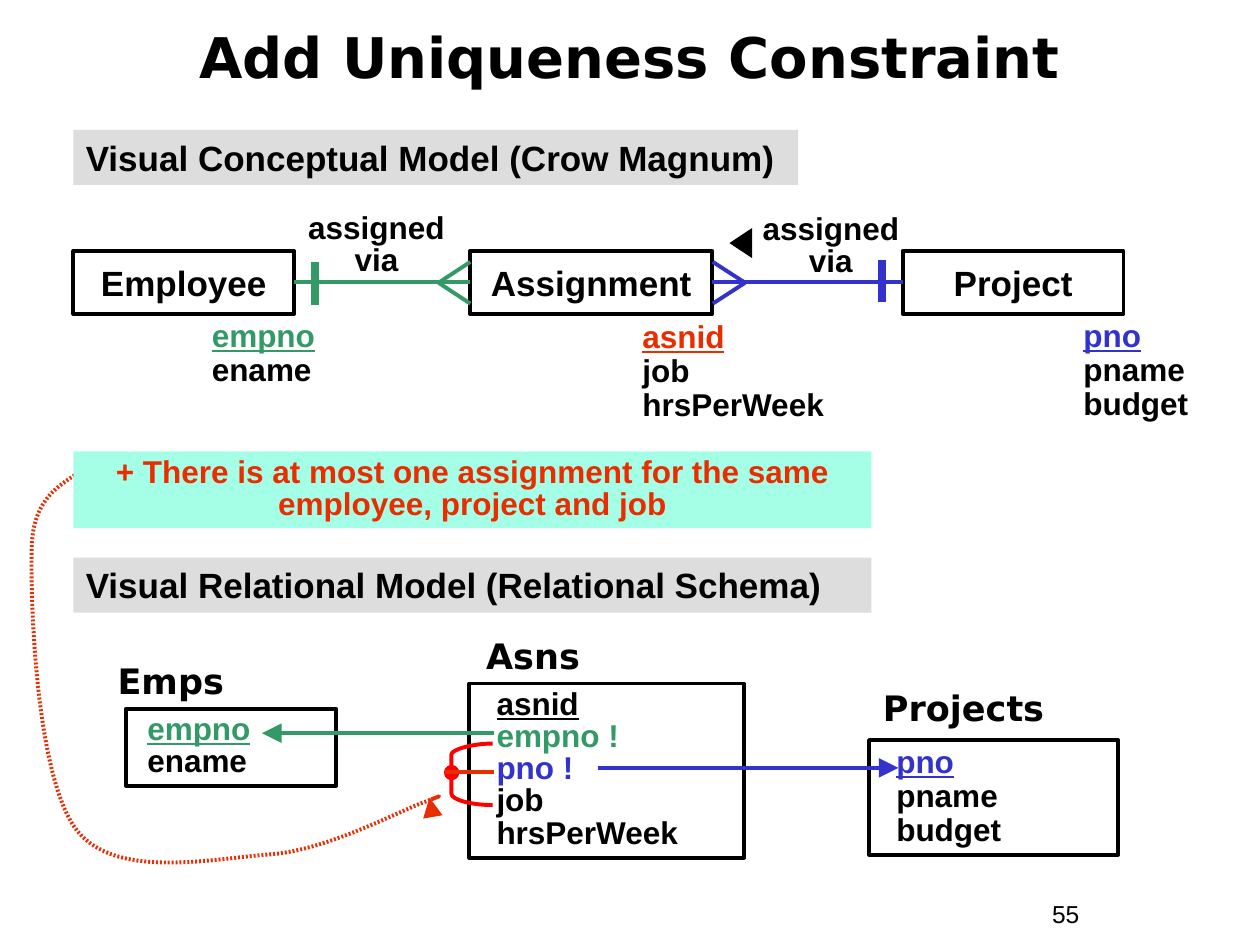
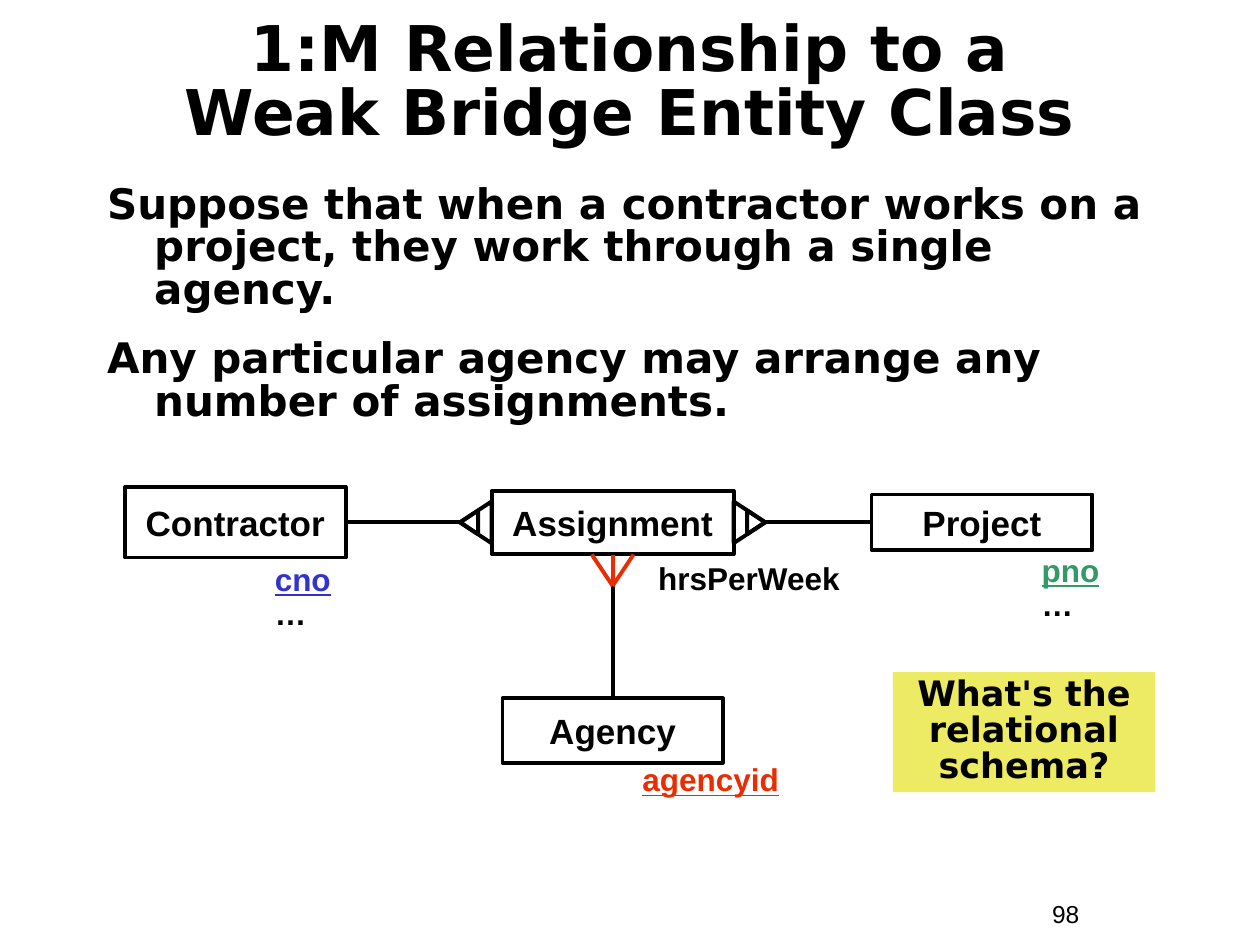
from lxml import etree
from pptx import Presentation
from pptx import util as u
from pptx.dml.color import RGBColor
from pptx.enum import shapes, text
from pptx.oxml import ns

BLACK = RGBColor(0x00, 0x00, 0x00)
GREEN = RGBColor(0x33, 0x99, 0x66)
BLUE = RGBColor(0x33, 0x33, 0xCC)
ORANGE = RGBColor(0xEA, 0x2D, 0x00)
RED = RGBColor(0xFF, 0x00, 0x00)
GREY = RGBColor(0xDD, 0xDD, 0xDD)
MINT = RGBColor(0xA5, 0xFF, 0xE7)
YELLOW = RGBColor(0xED, 0xEA, 0x63)
SANS = "Arial"
DISPLAY = "DejaVu Sans"
LEFT, CENTER = text.PP_ALIGN.LEFT, text.PP_ALIGN.CENTER
TOP, MIDDLE = text.MSO_ANCHOR.TOP, text.MSO_ANCHOR.MIDDLE
SHAPE = shapes.MSO_SHAPE
BODY, HEADING = 18, 20
STROKE, BAR = 2.25, 4.5


def cm(*values):
    return [u.Cm(v) for v in values]


def key(name, color=BLACK):
    return name, color, True


def column(name, color=BLACK):
    return name, color, False


def write(sp, rows, size, font=SANS, align=LEFT, anchor=TOP, spacing=1.0,
          bold=True, indent=0, hanging=0, gap=0):
    tf = sp.text_frame
    tf.word_wrap = True
    tf.vertical_anchor = anchor
    for i, (words, color, underlined) in enumerate(rows):
        p = tf.paragraphs[0] if i == 0 else tf.add_paragraph()
        p.text = words
        pPr = p._p.get_or_add_pPr()
        pPr.set("marL", str(u.Cm(indent)))
        pPr.set("indent", str(-u.Cm(hanging)))
        p.alignment = align
        p.line_spacing = spacing
        p.space_before = u.Pt(gap if i else 0)
        p.font.name = font
        p.font.size = u.Pt(size)
        p.font.bold = bold
        p.font.underline = underlined
        p.font.color.rgb = color


def label(s, box, rows, size=BODY, **style):
    sp = s.shapes.add_textbox(*cm(*box))
    write(sp, rows, size, **style)


def shape(s, kind, box, fill=None, line=None, rotation=0):
    sp = s.shapes.add_shape(kind, *cm(*box))
    sp.shadow.inherit = False
    sp.rotation = rotation
    paint(sp, fill, line)
    return sp


def paint(sp, fill, line):
    if fill is None:
        sp.fill.background()
    else:
        sp.fill.solid()
        sp.fill.fore_color.rgb = fill
    if line is None:
        sp.line.fill.background()
    else:
        sp.line.color.rgb = line
        sp.line.width = u.Pt(STROKE)


def title(s, box, words, size):
    label(s, box, [column(words)], size, font=DISPLAY, align=CENTER,
          anchor=MIDDLE, spacing=0.85)


def page_number(s, number):
    label(s, (20.96, 17.99, 2.33, 0.86), [column(number)], 14, bold=False)


def entity(s, box, name):
    sp = shape(s, SHAPE.RECTANGLE, box, line=BLACK)
    write(sp, [column(name)], HEADING, align=CENTER, anchor=MIDDLE)
    return sp


def attributes(s, box, *rows):
    label(s, box, rows, spacing=0.9)


def table_box(s, name, name_box, box, rows, spacing, indent):
    label(s, name_box, [column(name)], HEADING, font=DISPLAY)
    sp = shape(s, SHAPE.RECTANGLE, box, line=BLACK)
    write(sp, rows, BODY, spacing=spacing, indent=indent)


def panel(s, box, words, fill, size=HEADING, color=BLACK, **style):
    sp = shape(s, SHAPE.RECTANGLE, box, fill=fill)
    write(sp, [column(words, color)], size, **style)


def add_dots(sp):
    dash = etree.SubElement(sp.line._get_or_add_ln(), ns.qn("a:custDash"))
    etree.SubElement(dash, ns.qn("a:ds"), d="50000", sp="50000")


def add_arrowhead(sp):
    etree.SubElement(sp.line._get_or_add_ln(), ns.qn("a:tailEnd"),
                     type="triangle", w="lg", len="lg")


def line(s, start, end, color=BLACK, width=STROKE, arrow=False):
    c = s.shapes.add_connector(shapes.MSO_CONNECTOR.STRAIGHT, *cm(*start, *end))
    c.line.color.rgb = color
    c.line.width = u.Pt(width)
    if arrow:
        add_arrowhead(c)
    etree.SubElement(c._element.spPr, ns.qn("a:effectLst"))
    return c


def relationship(s, start, start_side, end, end_side, color=BLACK):
    c = line(s, (0, 0), (1, 1), color)
    c.begin_connect(start, start_side)
    c.end_connect(end, end_side)


def crow_foot(s, apex, toes, color):
    for toe in toes:
        line(s, apex, toe, color)


def weak_foot(s, x, y, direction):
    for cx, w, h in ((x, 0.84, 0.64), (x + direction * 0.13, 0.48, 0.36)):
        shape(s, SHAPE.ISOSCELES_TRIANGLE, (cx - w / 2, y - h / 2, w, h),
              line=BLACK, rotation=90 * direction % 360)


def curve(s, start, segments, color):
    builder = s.shapes.build_freeform(*cm(*start))
    builder.add_line_segments([cm(*pt) for seg in segments for pt in seg], close=False)
    sp = builder.convert_to_shape()
    sp.shadow.inherit = False
    paint(sp, None, color)
    steps = list(sp._element.iter(ns.qn("a:lnTo")))
    for segment in segments:
        group, steps = steps[:len(segment)], steps[len(segment):]
        if len(group) == 3:
            bezier = etree.Element(ns.qn("a:cubicBezTo"))
            group[0].addprevious(bezier)
            for step in group:
                bezier.append(step[0])
                step.getparent().remove(step)
    return sp


def conceptual_model(s):
    panel(s, (1.48, 2.62, 14.61, 1.11), "Visual Conceptual Model (Crow Magnum)", GREY)
    employee = entity(s, (1.48, 5.06, 4.45, 1.27), "Employee")
    assignment = entity(s, (9.48, 5.06, 4.88, 1.27), "Assignment")
    project = entity(s, (18.2, 5.06, 4.45, 1.27), "Project")
    relationship(s, employee, 3, assignment, 1, GREEN)
    relationship(s, project, 1, assignment, 3, BLUE)
    for apex, edge, color in ((8.84, 9.48, GREEN), (15.02, 14.37, BLUE)):
        crow_foot(s, (apex, 5.7), [(edge, 5.28), (edge, 6.12)], color)
    for x, y, color in ((6.35, 5.29, GREEN), (17.78, 5.24, BLUE)):
        line(s, (x, y), (x, y + 0.85), color, BAR)
    for x, y in ((5.9, 4.19), (15.06, 4.21)):
        label(s, (x, y, 3.38, 1.55), [column("assigned via")], align=CENTER, spacing=0.85)
    shape(s, SHAPE.ISOSCELES_TRIANGLE, (14.63, 4.67, 0.61, 0.46), fill=BLACK, rotation=270)
    attributes(s, (4.02, 6.33, 3.81, 1.63), key("empno", GREEN), column("ename"))
    attributes(s, (12.7, 6.35, 4.45, 2.31), key("asnid", ORANGE), column("job"),
               column("hrsPerWeek"))
    attributes(s, (21.59, 6.33, 2.96, 2.31), key("pno", BLUE), column("pname"),
               column("budget"))


def relational_model(s):
    panel(s, (1.48, 11.24, 16.09, 1.11), "Visual Relational Model (Relational Schema)", GREY)
    table_box(s, "Asns", (9.55, 12.66, 3.66, 1.11), (9.46, 13.78, 5.54, 3.51),
              [key("asnid"), column("empno !", GREEN), column("pno !", BLUE),
               column("job"), column("hrsPerWeek")], 0.85, 0.3)
    table_box(s, "Projects", (17.55, 13.72, 5.46, 1.11), (17.52, 14.92, 5.02, 2.31),
              [key("pno", BLUE), column("pname"), column("budget")], 0.9, 0.3)
    table_box(s, "Emps", (2.12, 13.17, 5.46, 1.11), (2.54, 14.29, 4.24, 1.55),
              [key("empno\v", GREEN), column("ename")][:0] or
              [key("empno", GREEN), column("ename")], 0.85, 0.18)
    line(s, (9.95, 14.78), (5.28, 14.78), GREEN, arrow=True)
    line(s, (12.06, 15.48), (18.11, 15.48), BLUE, arrow=True)


def uniqueness_constraint(s):
    pointer = curve(s, (1.68, 9.42), [
        ((1.5, 9.7), (0.66, 9.83), (0.64, 11.05)),
        ((0.61, 12.24), (0.74, 15.7), (1.55, 16.74)),
        ((2.34, 17.75), (4.32, 17.3), (5.49, 17.22)),
        ((6.65, 17.12), (8.08, 16.33), (8.61, 16.15)),
        ((9.12, 15.95), (8.64, 16.1), (8.66, 16.08))], ORANGE)
    add_dots(pointer)
    add_arrowhead(pointer)
    panel(s, (1.48, 9.1, 16.09, 1.55),
          "+ There is at most one assignment for the same employee, project and job",
          MINT, BODY, ORANGE, align=CENTER, spacing=0.85)
    curve(s, (9.93, 14.99), [
        ((9.53, 14.99), (9.1, 15.11), (9.1, 15.21)),
        ((9.1, 16),),
        ((9.1, 16.13), (9.53, 16.23), (9.93, 16.23))], RED)
    shape(s, SHAPE.OVAL, (8.99, 15.46, 0.23, 0.23), fill=RED, line=RED)
    line(s, (8.97, 15.57), (9.95, 15.57), ORANGE)


def uniqueness_slide(s):
    page_number(s, "55")
    title(s, (0.85, 0.28, 23.7, 1.91), "Add Uniqueness Constraint", 32)
    conceptual_model(s)
    relational_model(s)
    uniqueness_constraint(s)


def weak_bridge_slide(s):
    page_number(s, "98")
    title(s, (0.42, 0.85, 24.55, 1.7), "1:M Relationship to a\nWeak Bridge Entity Class", 36)
    label(s, (1.91, 3.6, 21.59, 4.24), [
        column("Suppose that when a contractor works on a project, "
               "they work through a single agency."),
        column("Any particular agency may arrange any number of assignments.")],
        24, font=DISPLAY, spacing=0.85, indent=0.95, hanging=0.95, gap=15)
    contractor = entity(s, (2.52, 9.82, 4.45, 1.42), "Contractor")
    project = entity(s, (17.57, 9.97, 4.45, 1.12), "Project")
    assignment = entity(s, (9.91, 9.9, 4.88, 1.27), "Assignment")
    agency = entity(s, (10.13, 14.08, 4.44, 1.3), "Agency")
    line(s, (6.97, 10.53), (9.27, 10.53)).begin_connect(contractor, 3)
    line(s, (17.57, 10.53), (15.42, 10.53)).begin_connect(project, 1)
    relationship(s, agency, 0, assignment, 2)
    weak_foot(s, 9.59, 10.53, -1)
    weak_foot(s, 15.11, 10.53, 1)
    crow_foot(s, (12.35, 11.81), [(x, 11.18) for x in (11.93, 12.35, 12.77)], ORANGE)
    attributes(s, (5.29, 11.25, 3.18, 1.63), key("cno", BLUE), column("…"))
    attributes(s, (20.75, 11.07, 2.54, 1.63), key("pno", GREEN), column("…"))
    attributes(s, (13.02, 11.23, 4.65, 0.94), column("hrsPerWeek"))
    attributes(s, (12.7, 15.29, 3.81, 0.94), key("agencyid", ORANGE))
    panel(s, (18, 13.55, 5.29, 2.42), "What's the relational schema?", YELLOW,
          font=DISPLAY, align=CENTER, spacing=0.85)


def main():
    prs = Presentation()
    prs.slide_width, prs.slide_height = cm(25.4, 19.05)
    for build in (uniqueness_slide, weak_bridge_slide):
        build(prs.slides.add_slide(prs.slide_layouts[6]))
    prs.save("out.pptx")


if __name__ == "__main__":
    main()
